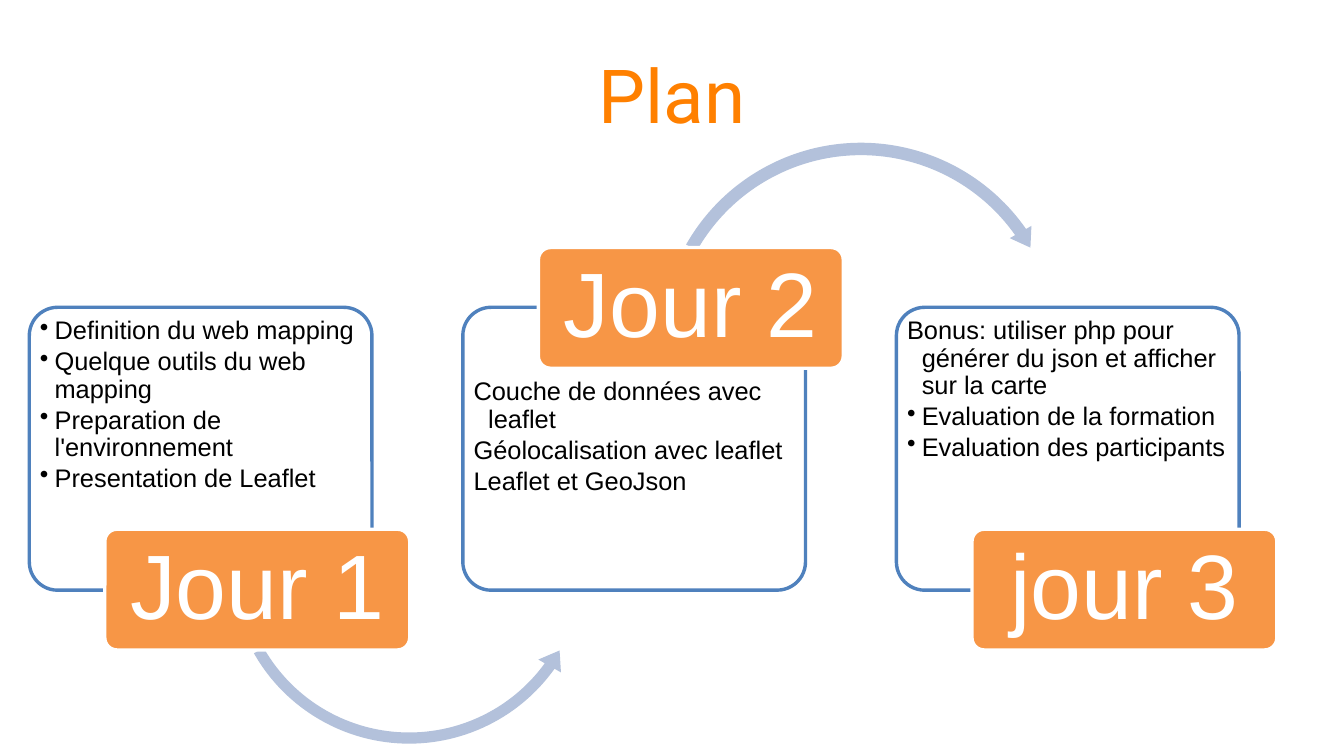
from pptx import Presentation
from pptx.dml.color import RGBColor
from pptx.enum.shapes import MSO_SHAPE
from pptx.enum.text import MSO_ANCHOR, PP_ALIGN
from pptx.oxml.ns import qn
from pptx.util import Inches, Pt
from lxml import etree

WHITE = RGBColor(0xFF, 0xFF, 0xFF)
BLACK = RGBColor(0x00, 0x00, 0x00)
AMBER = RGBColor(0xFF, 0x80, 0x00)
ORANGE = RGBColor(0xF7, 0x96, 0x46)
BLUE = RGBColor(0x4F, 0x81, 0xBD)
PALE = RGBColor(0xB3, 0xC1, 0xDB)

DAYS = [
    ("Jour 1", 0.62, 4.34, 0.02, [
        ("Definition du web mapping", True),
        ("Quelque outils du web mapping", True),
        ("Preparation de l'environnement", True),
        ("Presentation de Leaflet", True)],
     (MSO_SHAPE.LEFT_CIRCULAR_ARROW, 1.83, 3.11, 3.05,
      (0.03, 3.66, 21.41, 90.24, 0.035))),
    ("Jour 2", 0.62, 2.03, 0.52, [
        ("Couche de données avec leaflet", False),
        ("Géolocalisation avec leaflet", False),
        ("Leaflet et GeoJson", False)],
     (MSO_SHAPE.CIRCULAR_ARROW, 5.36, 1.12, 3.4,
      (0.03, 3.25, 195, 125.76, 0.03))),
    ("jour 3", 0.62, 4.34, 0.02, [
        ("Bonus: utiliser php pour générer du json et afficher sur la carte", False),
        ("Evaluation de la formation", True),
        ("Evaluation des participants", True)],
     None),
]

prs = Presentation()
prs.slide_width = Inches(11.02)
prs.slide_height = Inches(6.2)
slide = prs.slides.add_slide(prs.slide_layouts[6])


def add_shape(kind, left, top, width, height, fill, line=None):
    shape = slide.shapes.add_shape(
        kind, Inches(left), Inches(top), Inches(width), Inches(height))
    shape.shadow.inherit = False
    shape.fill.solid()
    shape.fill.fore_color.rgb = fill
    if line is None:
        shape.line.fill.background()
    else:
        shape.line.color.rgb = line
        shape.line.width = Pt(2)
    return shape


def set_text(para, text, font, size, color, align):
    para.text = text
    para.alignment = align
    para.font.name = font
    para.font.size = Pt(size)
    para.font.color.rgb = color


title = slide.shapes.add_textbox(
    Inches(0.55), Inches(0.25), Inches(9.92), Inches(1.03))
frame = title.text_frame
frame.word_wrap = True
frame.vertical_anchor = MSO_ANCHOR.MIDDLE
frame.margin_left = frame.margin_right = 0
frame.margin_top = frame.margin_bottom = 0
set_text(frame.paragraphs[0], "Plan", "Roboto", 44, AMBER, PP_ALIGN.CENTER)

for i, (name, shift, top, inset, items, arrow) in enumerate(DAYS):
    left = 0.24 + 3.555 * i
    card = add_shape(MSO_SHAPE.ROUNDED_RECTANGLE, left, 2.52, 2.81, 2.32, WHITE, BLUE)
    card.adjustments[0] = 0.1
    frame = card.text_frame
    frame.word_wrap = True
    frame.vertical_anchor = MSO_ANCHOR.TOP
    frame.margin_left = frame.margin_right = Inches(0.02)
    frame.margin_top = Inches(inset)
    frame.margin_bottom = 0
    for j, (text, dot) in enumerate(items):
        para = frame.add_paragraph() if j else frame.paragraphs[0]
        set_text(para, text, "Arial", 15, BLACK, PP_ALIGN.LEFT)
        para.line_spacing = 0.9
        para.space_after = Pt(2)
        props = para._p.get_or_add_pPr()
        props.set("marL", str(Inches(0.12)))
        props.set("indent", str(Inches(-0.12)))
        if dot:
            mark = etree.Element(qn("a:buChar"), char="•")
            props.find(qn("a:defRPr")).addprevious(mark)

    if arrow:
        kind, x, y, size, bends = arrow
        curve = add_shape(kind, x, y, size, size, PALE)
        for k, bend in enumerate(bends):
            curve.adjustments[k] = bend

    label = add_shape(MSO_SHAPE.ROUNDED_RECTANGLE, left + shift, top, 2.5, 0.99, ORANGE, WHITE)
    label.adjustments[0] = 0.1
    frame = label.text_frame
    frame.word_wrap = True
    frame.vertical_anchor = MSO_ANCHOR.MIDDLE
    frame.margin_left = frame.margin_right = Inches(0.11)
    frame.margin_top = frame.margin_bottom = Inches(0.07)
    set_text(frame.paragraphs[0], name, "Arial", 54, WHITE, PP_ALIGN.CENTER)
    frame.paragraphs[0].line_spacing = 0.9

prs.save("out.pptx")
